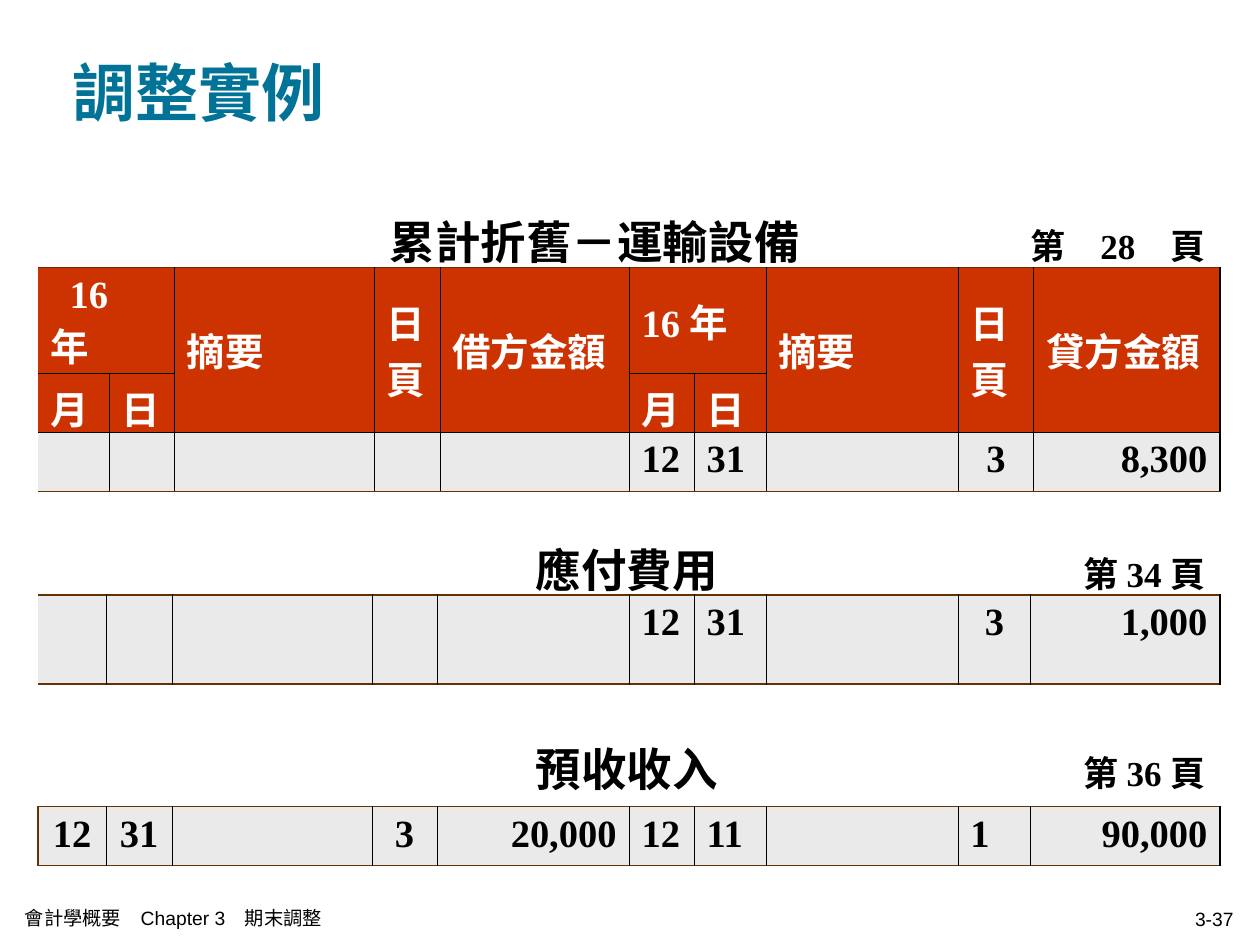
"""Build the ledger slide with three account tables."""
import lxml.etree
import pptx
import pptx.dml.color
import pptx.enum.text
import pptx.oxml.ns
import pptx.util

Cm = pptx.util.Cm
Pt = pptx.util.Pt
qn = pptx.oxml.ns.qn
RGBColor = pptx.dml.color.RGBColor
ALIGN = pptx.enum.text.PP_ALIGN
ANCHOR = pptx.enum.text.MSO_ANCHOR

BLACK = RGBColor(0x00, 0x00, 0x00)
WHITE = RGBColor(0xFF, 0xFF, 0xFF)
BROWN = RGBColor(0x66, 0x33, 0x00)
RED = RGBColor(0xCC, 0x33, 0x00)
GREY = RGBColor(0xEA, 0xEA, 0xEA)
TEAL = RGBColor(0x00, 0x73, 0x96)
THIN, THICK = 0.45, 1.08
SERIF = "Times New Roman"


def put(frame, text, size=22, color=BLACK, face=SERIF, bold=True, align=ALIGN.LEFT):
    para = frame.paragraphs[0]
    para.alignment = align
    for num, part in enumerate(text.split("\n")):
        if num:
            para.add_line_break()
        run = para.add_run()
        run.text = part
        run.font.size = Pt(size)
        run.font.name = face
        run.font.bold = bold
        run.font.color.rgb = color


def edge(cell, **sides):
    props = cell._tc.get_or_add_tcPr()
    for side in "LRTB":
        line = lxml.etree.SubElement(props, qn("a:ln" + side))
        if sides.get(side):
            color, width = sides[side]
            line.set("w", str(Pt(width)))
            fill = lxml.etree.SubElement(line, qn("a:solidFill"))
            lxml.etree.SubElement(fill, qn("a:srgbClr"), val=str(color))
        else:
            lxml.etree.SubElement(line, qn("a:noFill"))


deck = pptx.Presentation()
deck.slide_width = Cm(25.4)
deck.slide_height = Cm(19.05)
slide = deck.slides.add_slide(deck.slide_layouts[6])

labels = [
    ((1.22, 0.25, 22.86, 3.18), "調整實例", dict(size=36, color=TEAL)),
    ((0.25, 18.08, 12.95, 0.84), "會計學概要　Chapter 3　期末調整",
     dict(size=11, face="Arial", bold=False)),
    ((19.2, 18.11, 5.92, 0.84), "3-37",
     dict(size=11, face="Arial", bold=False, align=ALIGN.RIGHT)),
]
for place, text, style in labels:
    frame = slide.shapes.add_textbox(*map(Cm, place)).text_frame
    frame.word_wrap = True
    frame.vertical_anchor = ANCHOR.MIDDLE
    put(frame, text, **style)

HEAD = [
    ["16\n年", "", "摘要", "日頁", "借方金額", "16 年", "", "摘要", "日頁", "貸方金額"],
    ["月", "日", "", "", "", "月", "日", "", "", ""],
]
WIDE = [1.43, 1.31, 4.03, 1.33, 3.81, 1.31, 1.45, 3.87, 1.53, 3.75]
SLIM = [1.37, 1.33, 4.03, 1.31, 3.87, 1.31, 1.45, 3.87, 1.47, 3.81]
L, C, R = ALIGN.LEFT, ALIGN.CENTER, ALIGN.RIGHT
ALIGNS = [C, C, L, C, R, L, L, L, C, R]

books = [
    dict(name="累計折舊－運輸設備", page="第　28　頁", mid=10.97, top=4.04,
         cols=WIDE, rows=[1.35, 2.13, 1.19, 1.19], head=HEAD, aligns=ALIGNS, left=None,
         data=["", "", "", "", "", "12", "31", "", "3", "8,300"]),
    dict(name="應付費用", page="第 34 頁", mid=11.61, top=10.64,
         cols=SLIM, rows=[1.35, 1.8], head=[], aligns=ALIGNS, left=None,
         data=["", "", "", "", "", "12", "31", "", "3", "1,000"]),
    dict(name="預收收入", page="第 36 頁", mid=11.61, top=14.66,
         cols=SLIM, rows=[1.6, 1.19], head=[], aligns=ALIGNS[:8] + [L, R],
         left=(BROWN, THICK),
         data=["12", "31", "", "3", "20,000", "12", "11", "", "1", "90,000"]),
]

for book in books:
    cols, rows = book["cols"], book["rows"]
    grid = slide.shapes.add_table(
        len(rows), len(cols), Cm(0.77), Cm(book["top"]), Cm(sum(cols)), Cm(sum(rows))
    ).table
    grid.first_row = False
    grid.horz_banding = False
    for col, width in zip(grid.columns, cols):
        col.width = Cm(width)
    for row, height in zip(grid.rows, rows):
        row.height = Cm(height)

    for cell in grid.rows[0].cells:
        edge(cell, B=(BROWN, THICK))
        cell.fill.background()
    first = grid.cell(0, 0)
    first.merge(grid.cell(0, 9))
    props = first.text_frame.paragraphs[0]._p.get_or_add_pPr()
    tabs = lxml.etree.SubElement(props, qn("a:tabLst"))
    for pos, kind in [(book["mid"], "ctr"), (23.28, "r")]:
        lxml.etree.SubElement(tabs, qn("a:tab"), pos=str(Cm(pos)), algn=kind)
    put(first.text_frame, "\t" + book["name"], size=26)
    put(first.text_frame, "\t" + book["page"], size=20)

    lines = book["head"] + [book["data"]]
    for r, line in enumerate(lines, 1):
        head = r < len(lines)
        for c, text in enumerate(line):
            cell = grid.cell(r, c)
            edge(
                cell,
                L=(BLACK, THIN) if c else book["left"],
                R=(BLACK, THICK if c == 9 else THIN),
                T=(BROWN, THICK) if r == 1 else (BLACK, THIN),
                B=(BLACK, THIN) if head else (BROWN, THICK),
            )
            cell.fill.solid()
            cell.fill.fore_color.rgb = RED if head else GREY
            cell.vertical_anchor = ANCHOR.MIDDLE if head else ANCHOR.TOP
            if text:
                put(cell.text_frame, text, color=WHITE if head else BLACK,
                    align=L if head else book["aligns"][c])

    if book["head"]:
        for c in (0, 5):
            grid.cell(1, c).merge(grid.cell(1, c + 1))
        for c in (2, 3, 4, 7, 8, 9):
            grid.cell(1, c).merge(grid.cell(2, c))
        year = grid.cell(1, 0).text_frame.paragraphs[0]
        year._p.get_or_add_pPr().set("indent", str(Cm(0.38)))

deck.save("out.pptx")
